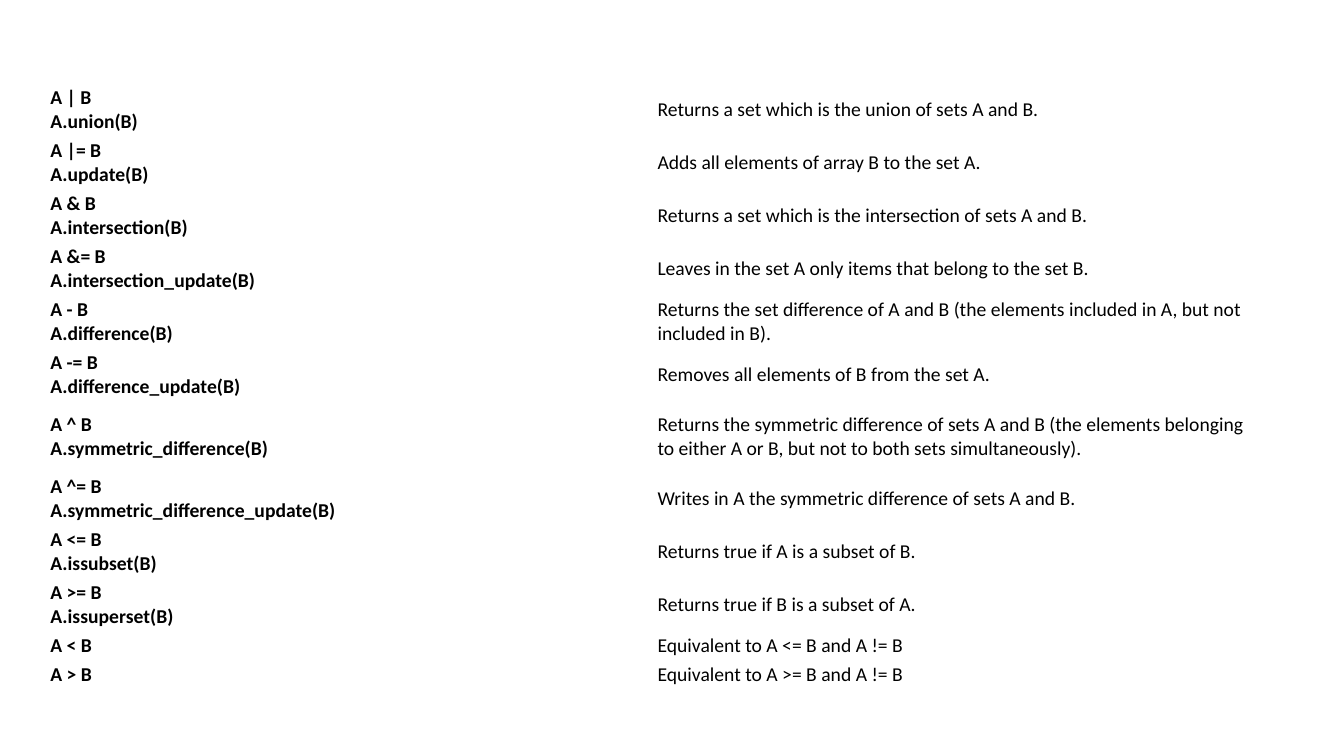
from pptx import Presentation
from pptx.dml.color import RGBColor
from pptx.enum.text import MSO_ANCHOR as Anchor
from pptx.util import Cm, Pt

# Operator, method, description, row height in cm
SET_OPERATIONS = [
    ("A | B", "A.union(B)", "Returns a set which is the union of sets A and B.", 1.27),
    ("A |= B", "A.update(B)", "Adds all elements of array B to the set A.", 1.27),
    ("A & B", "A.intersection(B)", "Returns a set which is the intersection of sets A and B.", 1.27),
    ("A &= B", "A.intersection_update(B)", "Leaves in the set A only items that belong to the set B.", 1.27),
    ("A - B", "A.difference(B)",
     "Returns the set difference of A and B (the elements included in A, but not included in B).", 1.27),
    ("A -= B", "A.difference_update(B)", "Removes all elements of B from the set A.", 1.27),
    ("A ^ B", "A.symmetric_difference(B)",
     "Returns the symmetric difference of sets A and B (the elements belonging to either A or B, "
     "but not to both sets simultaneously).", 1.8),
    ("A ^= B", "A.symmetric_difference_update(B)", "Writes in A the symmetric difference of sets A and B.", 1.27),
    ("A <= B", "A.issubset(B)", "Returns true if A is a subset of B.", 1.27),
    ("A >= B", "A.issuperset(B)", "Returns true if B is a subset of A.", 1.27),
    ("A < B", "", "Equivalent to A <= B and A != B", 0.71),
    ("A > B", "", "Equivalent to A >= B and A != B", 0.71),
]


def color(hex_code):
    return RGBColor.from_string(hex_code)


class ReferenceSlide:
    """Holds the text style and the slide being built."""

    font_name = "Calibri"
    font_size = 14
    ink = "000000"
    inset = 0.06
    bottom_inset = 0.07

    def __init__(self, slide):
        self.slide = slide

    def write_cell(self, cell, text, bold):
        cell.fill.background()
        cell.vertical_anchor = Anchor.MIDDLE
        cell.margin_left = cell.margin_right = cell.margin_top = Cm(self.inset)
        cell.margin_bottom = Cm(self.bottom_inset)
        paragraph = cell.text_frame.paragraphs[0]
        paragraph.text = text
        for run in paragraph.runs:
            run.font.name = self.font_name
            run.font.size = Pt(self.font_size)
            run.font.bold = bold
            run.font.color.rgb = color(self.ink)

    def add_operations(self, operations, left, top, column_width):
        height = sum(operation[-1] for operation in operations)
        table = self.slide.shapes.add_table(
            len(operations), 2, Cm(left), Cm(top), Cm(2 * column_width), Cm(height)).table
        table.first_row = table.horz_banding = False
        for column in table.columns:
            column.width = Cm(column_width)
        for row, (operator, method, description, row_height) in zip(table.rows, operations):
            row.height = Cm(row_height)
            syntax = f"{operator}\n{method}" if method else operator
            self.write_cell(row.cells[0], syntax, bold=True)
            self.write_cell(row.cells[1], description, bold=False)


def main():
    deck = Presentation()
    deck.slide_width, deck.slide_height = Cm(33.87), Cm(19.05)
    reference = ReferenceSlide(deck.slides.add_slide(deck.slide_layouts[6]))

    # Table of set operations
    reference.add_operations(SET_OPERATIONS, left=1.21, top=2.11, column_width=15.3)

    deck.save("out.pptx")


if __name__ == "__main__":
    main()
